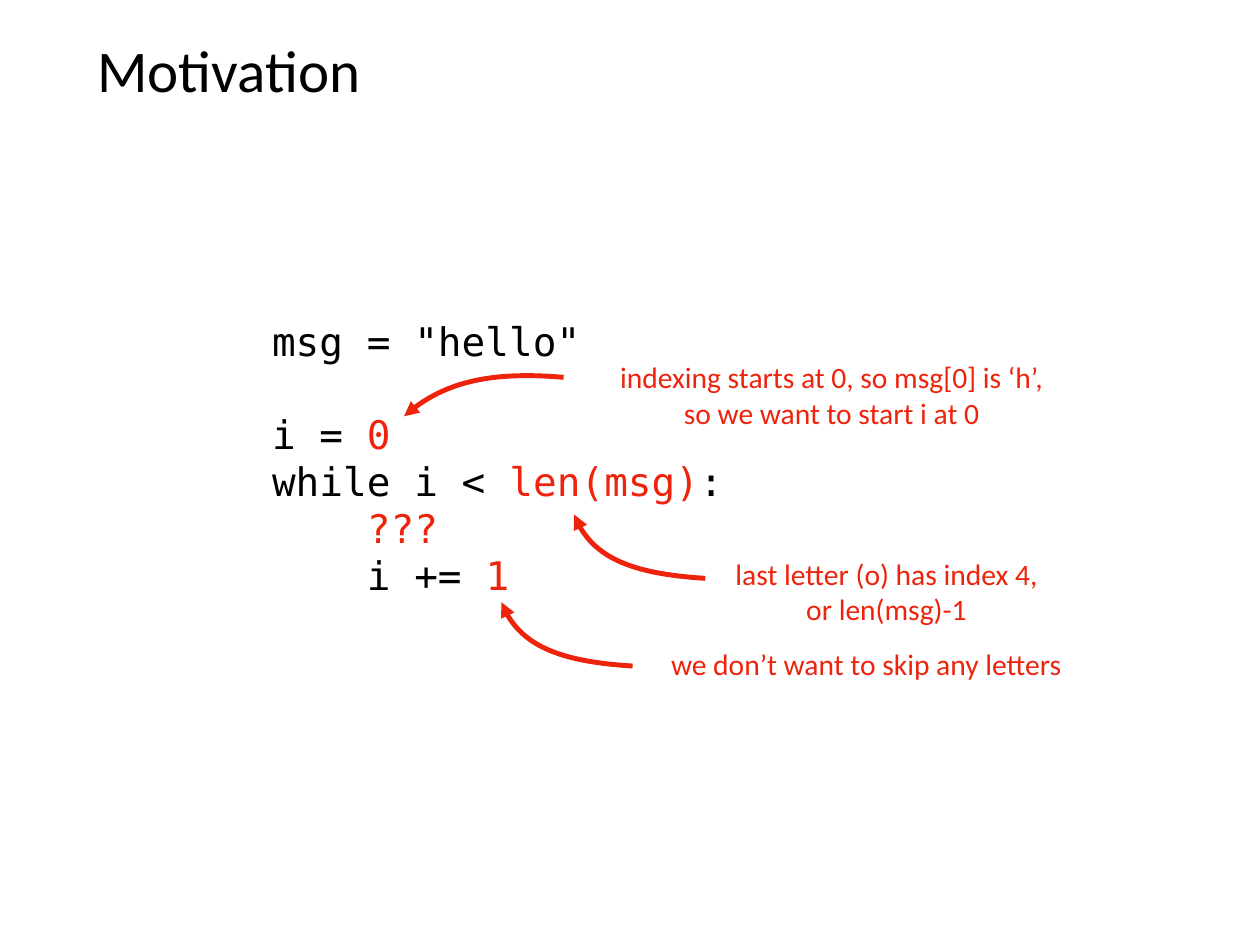
"""Build the Motivation slide: a loop in code with three annotated arrows."""
from typing import NamedTuple

from lxml.etree import SubElement
from pptx import Presentation
from pptx.dml.color import RGBColor as RGB
from pptx.enum.text import MSO_ANCHOR as Anchor, MSO_AUTO_SIZE as AutoSize, PP_ALIGN as Align
from pptx.oxml.ns import qn
from pptx.util import Inches, Pt

COLORS = {"ink": "000000", "accent": "EE230C", "paper": "FFFFFF"}
SANS, MONO = "Calibri", "DejaVu Sans Mono"
WIDTH, HEIGHT = Inches(14.22), Inches(10.67)
CODE_SIZE = 32
BLANK_LINE = 37

Point = tuple[float, float]
Run = tuple[str, str]


class Box(NamedTuple):
    """Left, top, width and height in percent of the slide."""
    left: float
    top: float
    width: float
    height: float


class Note(NamedTuple):
    """Annotation lines and their box."""
    box: Box
    lines: list[str]


class Arrow(NamedTuple):
    """Start point and offsets of two control points and the tip."""
    start: Point
    curve: list[Point]


class CodeLine(NamedTuple):
    """Coloured runs of one code line, with the space above it."""
    runs: list[Run]
    before: int = 0


TITLE_BOX = Box(7.31, 2.62, 85.37, 9.28)
CODE_BOX = Box(21.17, 32.99, 57.59, 33.93)
CODE = [
    CodeLine([('msg = "hello"', "ink")]),
    CodeLine([("i = ", "ink"), ("0", "accent")], BLANK_LINE),
    CodeLine([("while i < ", "ink"), ("len(msg)", "accent"), (":", "ink")]),
    CodeLine([("    ", "ink"), ("???", "accent")]),
    CodeLine([("    i += ", "ink"), ("1", "accent")]),
]
NOTES = [
    Note(Box(48.45, 37.58, 35.09, 8.34),
         ["indexing starts at 0, so msg[0] is ‘h’,", "so we want to start i at 0"]),
    Note(Box(52.67, 67.85, 32.14, 4.69), ["we don’t want to skip any letters"]),
    Note(Box(57.38, 58.39, 25.95, 8.34), ["last letter (o) has index 4,", "or len(msg)-1"]),
]
HOOK = [(-5.91, -0.47), (-9.35, -2.72), (-10.41, -6.75)]
ARROWS = [
    Arrow((44.73, 39.93), [(-5.7, -0.66), (-9.92, 0.75), (-12.66, 4.12)]),
    Arrow((50.21, 70.48), HOOK),
    Arrow((55.98, 61.2), HOOK),
]


def x_of(share: float) -> int:
    return round(WIDTH * share / 100)


def y_of(share: float) -> int:
    return round(HEIGHT * share / 100)


def place(box: Box) -> tuple[int, int, int, int]:
    return x_of(box.left), y_of(box.top), x_of(box.width), y_of(box.height)


def set_frame(tf, anchor: Anchor, wrap: bool, auto_size: AutoSize) -> None:
    tf.margin_left = tf.margin_right = tf.margin_top = tf.margin_bottom = Inches(0.06)
    tf.vertical_anchor, tf.word_wrap, tf.auto_size = anchor, wrap, auto_size


def add_run(p, text: str, size: int, font: str, color: str) -> None:
    r = p.add_run()
    r.text = text
    r.font.size, r.font.name = Pt(size), font
    r.font.color.rgb = RGB.from_string(COLORS[color])


def add_title(s, text: str) -> None:
    sp = s.shapes.title
    sp.left, sp.top, sp.width, sp.height = place(TITLE_BOX)
    tf = sp.text_frame
    set_frame(tf, Anchor.MIDDLE, True, AutoSize.NONE)
    p = tf.paragraphs[0]
    p.alignment = Align.LEFT
    add_run(p, text, 48, SANS, "ink")


def add_code(s, lines: list[CodeLine]) -> None:
    tf = s.shapes.add_textbox(*place(CODE_BOX)).text_frame
    set_frame(tf, Anchor.TOP, True, AutoSize.NONE)
    for i, line in enumerate(lines):
        p = tf.add_paragraph() if i else tf.paragraphs[0]
        p.space_before = Pt(line.before)
        for text, color in line.runs:
            add_run(p, text, CODE_SIZE, MONO, color)


def add_note(s, note: Note) -> None:
    tf = s.shapes.add_textbox(*place(note.box)).text_frame
    set_frame(tf, Anchor.MIDDLE, False, AutoSize.SHAPE_TO_FIT_TEXT)
    for i, text in enumerate(note.lines):
        p = tf.add_paragraph() if i else tf.paragraphs[0]
        p.alignment = Align.CENTER
        add_run(p, text, 24, SANS, "accent")


def add_arrow(s, arrow: Arrow) -> None:
    x0, y0 = x_of(arrow.start[0]), y_of(arrow.start[1])
    points = [(x0 + x_of(dx), y0 + y_of(dy)) for dx, dy in arrow.curve]
    builder = s.shapes.build_freeform(x0, y0)
    builder.add_line_segments(points[-1:], close=False)
    sp = builder.convert_to_shape()
    sp.shadow.inherit = False
    sp.fill.background()
    sp.line.color.rgb = RGB.from_string(COLORS["accent"])
    sp.line.width = Pt(4)
    SubElement(sp.line._get_or_add_ln(), qn("a:tailEnd"), type="triangle")
    segment = next(sp._element.iter(qn("a:lnTo")))
    bezier = SubElement(segment.getparent(), qn("a:cubicBezTo"))
    for x, y in points:
        SubElement(bezier, qn("a:pt"), x=str(x - sp.left), y=str(y - sp.top))
    segment.getparent().remove(segment)


def main() -> None:
    prs = Presentation()
    prs.slide_width, prs.slide_height = WIDTH, HEIGHT
    s = prs.slides.add_slide(prs.slide_layouts[5])
    s.background.fill.solid()
    s.background.fill.fore_color.rgb = RGB.from_string(COLORS["paper"])
    add_title(s, "Motivation")
    add_code(s, CODE)
    for arrow, note in zip(ARROWS, NOTES):
        add_arrow(s, arrow)
        add_note(s, note)
    prs.save("out.pptx")


if __name__ == "__main__":
    main()
